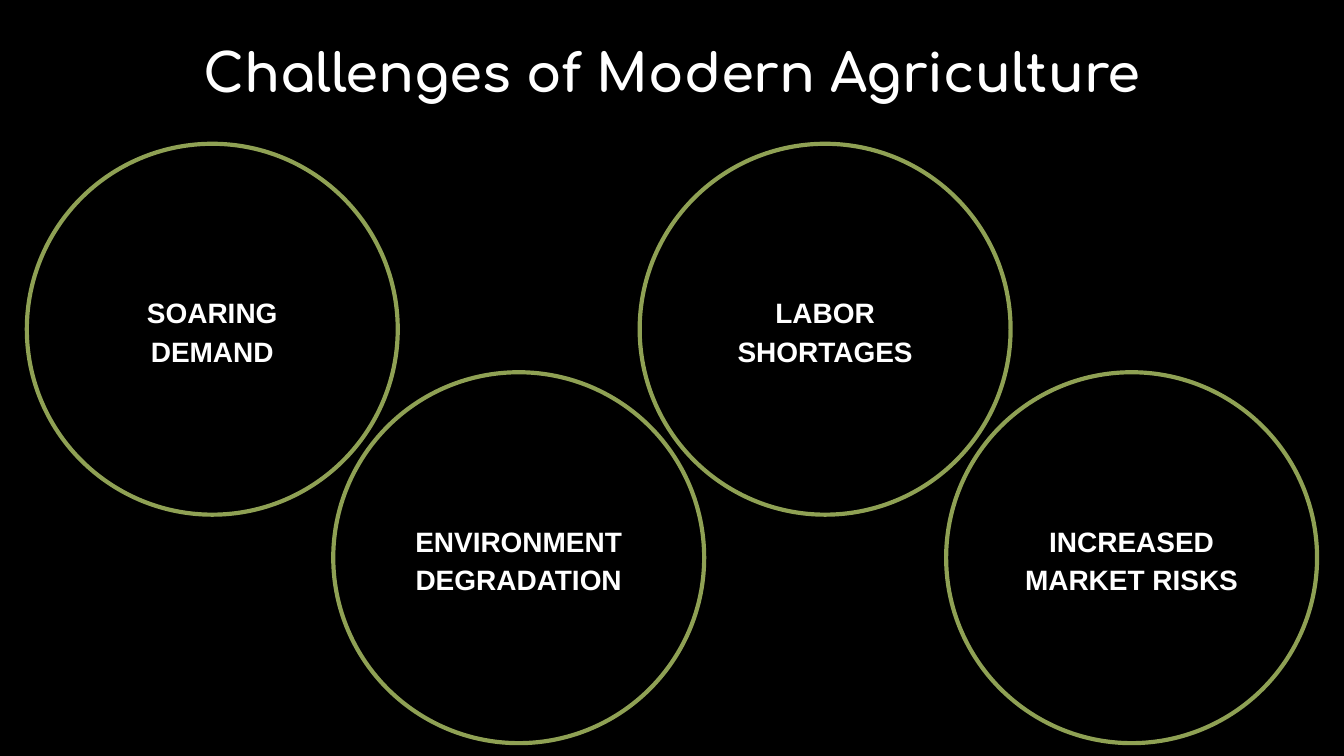
from pptx import Presentation
from pptx import util as u
from pptx.dml.color import RGBColor
from pptx.enum import shapes, text

PAGE_WIDTH = 10
PAGE_HEIGHT = PAGE_WIDTH * 9 / 16
DIAMETER = 2.76
LEFT, STEP = 0.2, 2.28
UPPER, LOWER = 1.07, 2.77
CHALLENGES = [
    "SOARING DEMAND",
    "ENVIRONMENT DEGRADATION",
    "LABOR SHORTAGES",
    "INCREASED MARKET RISKS",
]


def color(value):
    return RGBColor.from_string(value)


def write(frame, words, *, size, font, fill="FFFFFF", spacing=1.0,
          anchor=text.MSO_ANCHOR.MIDDLE):
    """Fill a text frame with one bold, centred paragraph."""
    frame.word_wrap = True
    frame.auto_size = text.MSO_AUTO_SIZE.NONE
    frame.vertical_anchor = anchor
    for side in ("left", "top", "right", "bottom"):
        setattr(frame, f"margin_{side}", u.Inches(0.1))
    para = frame.paragraphs[0]
    para.alignment = text.PP_ALIGN.CENTER
    para.line_spacing = spacing
    para.space_before = u.Pt(0)
    span = para.add_run()
    span.text = words
    span.font.name = font
    span.font.size = u.Pt(size)
    span.font.bold = True
    span.font.color.rgb = color(fill)


class SlideBuilder:
    background = "000000"
    outline = "8FA154"
    title_font = "Comfortaa"
    label_font = "Arial"

    def __init__(self, deck):
        self.page = deck.slides.add_slide(deck.slide_layouts[5])
        fill = self.page.background.fill
        fill.solid()
        fill.fore_color.rgb = color(self.background)

    def title(self, words, left, top, width, height):
        box = self.page.shapes.title
        box.left, box.top = u.Inches(left), u.Inches(top)
        box.width, box.height = u.Inches(width), u.Inches(height)
        write(box.text_frame, words, size=28.2, font=self.title_font,
              anchor=text.MSO_ANCHOR.TOP)

    def circle(self, words, left, top, diameter):
        ring = self.page.shapes.add_shape(
            shapes.MSO_SHAPE.OVAL, u.Inches(left), u.Inches(top),
            u.Inches(diameter), u.Inches(diameter))
        ring.shadow.inherit = False
        ring.fill.background()
        ring.line.color.rgb = color(self.outline)
        ring.line.width = u.Pt(2.25)
        write(ring.text_frame, words, size=15, font=self.label_font, spacing=1.15)


def main():
    deck = Presentation()
    deck.slide_width, deck.slide_height = u.Inches(PAGE_WIDTH), u.Inches(PAGE_HEIGHT)
    slide = SlideBuilder(deck)
    slide.title("Challenges of Modern Agriculture", 0, 0.2, PAGE_WIDTH, 0.59)
    for index, challenge in enumerate(CHALLENGES):
        top = LOWER if index % 2 else UPPER
        slide.circle(challenge, LEFT + index * STEP, top, DIAMETER)
    deck.save("out.pptx")


if __name__ == "__main__":
    main()
